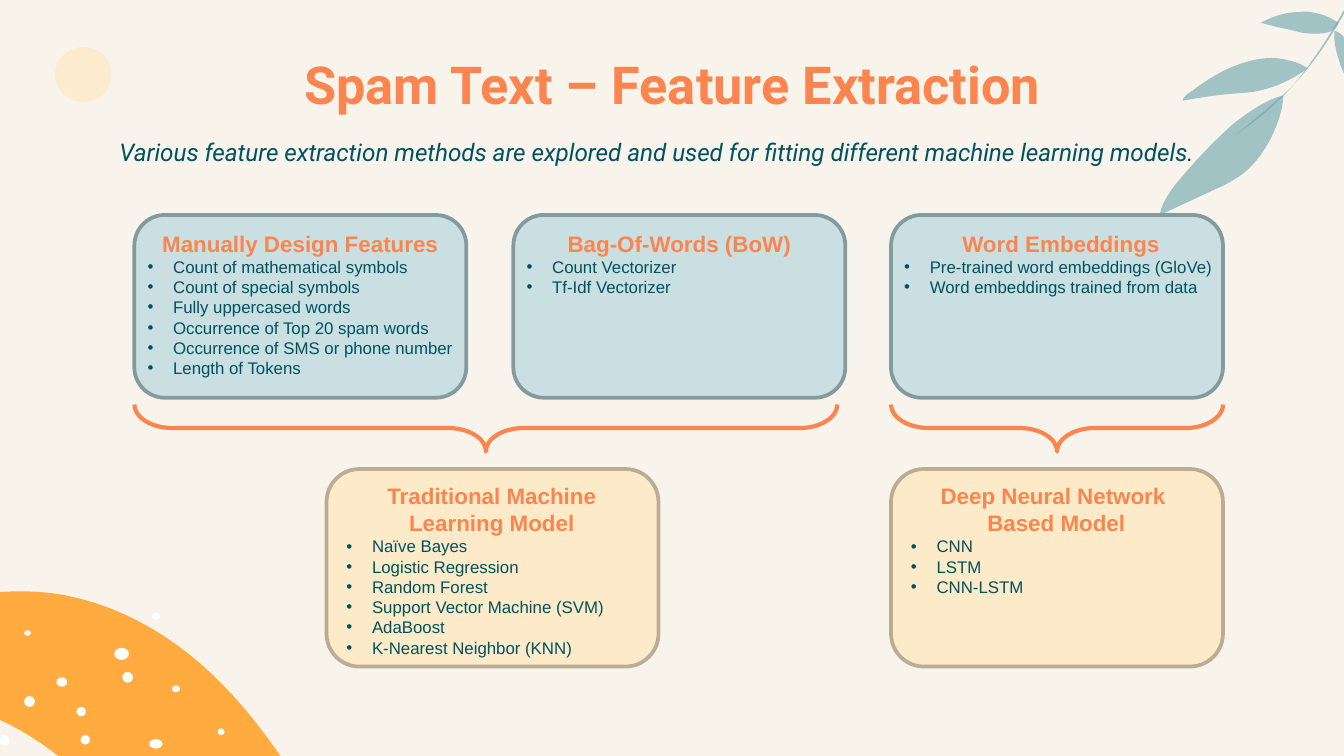
from lxml import etree
from pptx import Presentation
from pptx.dml.color import RGBColor
from pptx.enum.shapes import MSO_SHAPE
from pptx.enum.text import MSO_ANCHOR, MSO_AUTO_SIZE, PP_ALIGN
from pptx.oxml.ns import qn
from pptx.util import Inches, Pt

ORANGE, TEAL, LEAF, CREAM, BLUE = "FC854F", "00525F", "6BA4AA", "FDEAC8", "C9DFE1"
color = RGBColor.from_string


def paint(shape, fill, line=None, width=2, opacity=100):
    shape.shadow.inherit = False
    if fill:
        shape.fill.solid()
        shape.fill.fore_color.rgb = color(fill)
        if opacity < 100:
            node = shape.fill._xPr.find(qn("a:solidFill"))[0]
            etree.SubElement(node, qn("a:alpha"), val=str(opacity * 1000))
    else:
        shape.fill.background()
    if line:
        shape.line.color.rgb = color(line)
        shape.line.width = Pt(width)
    else:
        shape.line.fill.background()


def write(paragraph, text, hex_color, **style):
    run = paragraph.add_run()
    run.text = text
    run.font.color.rgb = color(hex_color)
    for name, value in style.items():
        setattr(run.font, name, value)


presentation = Presentation()
presentation.slide_width, presentation.slide_height = Inches(10), Inches(45 / 8)
slide = presentation.slides.add_slide(presentation.slide_layouts[5])
slide.background.fill.solid()
slide.background.fill.fore_color.rgb = color("F8F4EC")
shapes = slide.shapes

sun = shapes.add_shape(MSO_SHAPE.OVAL, Inches(0.41), Inches(0.35), Inches(0.42), Inches(0.41))
paint(sun, CREAM, opacity=84)

# Each outline is a start point, then line ends (x, y) or cubic curves of six numbers.
stem = [(10.04, 0), (9.92, 0.23, 9.78, 0.44, 9.62, 0.64), (9.49, 0.76, 9.36, 0.87, 9.2, 1),
        (9.36, 0.89, 9.48, 0.79, 9.6, 0.66), (9.78, 0.47, 9.93, 0.24, 10.05, 0.01)]
large_leaf = [(9.55, 0.71), (9.42, 0.74, 9.3, 0.83, 9.19, 0.91), (9.03, 1.05, 8.88, 1.21, 8.74, 1.38),
              (8.69, 1.45, 8.64, 1.52, 8.63, 1.6), (9.06, 1.4),
              (9.11, 1.38, 9.16, 1.35, 9.21, 1.32), (9.4, 1.2, 9.54, 0.91, 9.55, 0.71)]
middle_leaf = [(9.59, 0.45), (9.49, 0.42, 9.38, 0.43, 9.28, 0.46), (9.13, 0.5, 9, 0.58, 8.88, 0.67),
               (8.85, 0.69, 8.81, 0.71, 8.8, 0.75), (8.96, 0.72, 9.11, 0.7, 9.27, 0.69),
               (9.43, 0.68, 9.61, 0.6, 9.73, 0.51), (9.69, 0.48, 9.64, 0.46, 9.59, 0.45)]
edge_leaf = [(9.93, 0.23), (9.92, 0.32, 9.95, 0.41, 9.98, 0.5), (10.01, 0.58, 10.07, 0.66, 10.15, 0.7),
             (10.14, 0.56, 10.09, 0.42, 10.01, 0.3), (10, 0.27, 9.97, 0.24, 9.93, 0.23)]
top_leaf = [(9.8, 0.1), (9.76, 0.09, 9.72, 0.08, 9.67, 0.09), (9.57, 0.09, 9.47, 0.12, 9.38, 0.17),
            (9.46, 0.19), (9.53, 0.21, 9.6, 0.22, 9.67, 0.24), (9.71, 0.25, 9.75, 0.25, 9.79, 0.25),
            (9.84, 0.25, 9.93, 0.25, 9.96, 0.17), (9.91, 0.14, 9.86, 0.11, 9.8, 0.1)]
band = [(-1.68, 4.54), (-1.33, 5.09), (-0.74, 5.08, -0.14, 5.22, 0.32, 5.54),
        (0.77, 5.85, 1.09, 6.34, 1.11, 6.92), (2.98, 6.6), (2.64, 6.5, 2.44, 6.18, 2.26, 5.89),
        (2.03, 5.52, 1.76, 5.15, 1.41, 4.87), (1.06, 4.59, 0.61, 4.39, 0.14, 4.4),
        (-0.09, 4.4, -0.32, 4.45, -0.55, 4.49), (-0.92, 4.55, -1.3, 4.57, -1.68, 4.54)]
outlines = [(leaf, LEAF, 61) for leaf in (stem, large_leaf, middle_leaf, edge_leaf, top_leaf)]
for outline, fill, opacity in outlines + [(band, "FFAB40", 100)]:
    points = [outline[0]]
    for segment in outline[1:]:
        if len(segment) == 2:
            points.append(segment)
            continue
        controls = [points[-1], segment[:2], segment[2:4], segment[4:]]
        for step in range(1, 13):
            t = step / 12
            weights = ((1 - t) ** 3, 3 * t * (1 - t) ** 2, 3 * t * t * (1 - t), t ** 3)
            points.append(tuple(sum(w * c[axis] for w, c in zip(weights, controls)) for axis in (0, 1)))
    vertices = [(Inches(x), Inches(y)) for x, y in points]
    builder = shapes.build_freeform(*vertices[0])
    builder.add_line_segments(vertices[1:], close=True)
    paint(builder.convert_to_shape(), fill, opacity=opacity)

seeds = [(1.62, 5.42, 0.05, 0.05), (0, 5.47, 0.07, 0.08), (0.18, 4.69, 0.05, 0.04),
         (0.85, 4.82, 0.11, 0.09), (1.28, 5.1, 0.06, 0.05), (1.11, 5.5, 0.1, 0.07),
         (0.91, 5, 0.08, 0.08), (0.57, 5.26, 0.07, 0.07), (0.42, 5.04, 0.08, 0.07),
         (0.18, 5.18, 0.08, 0.08), (0.6, 5.47, 0.07, 0.07), (1.13, 4.56, 0.06, 0.05)]
for seed in seeds:
    paint(shapes.add_shape(MSO_SHAPE.OVAL, *map(Inches, seed)), "FFFFFF")

title = shapes.title
title.left, title.top, title.width, title.height = map(Inches, (0.34, 0.29, 9.32, 0.63))
subtitle = shapes.add_textbox(*map(Inches, (0.79, 0.92, 8.42, 0.46)))
for shape in (title, subtitle):
    frame = shape.text_frame
    frame.word_wrap = True
    frame.auto_size = MSO_AUTO_SIZE.NONE
    frame.vertical_anchor = MSO_ANCHOR.TOP
    for side in ("left", "top", "right", "bottom"):
        setattr(frame, f"margin_{side}", Inches(0.1))
title.text_frame.paragraphs[0].alignment = PP_ALIGN.CENTER
write(title.text_frame.paragraphs[0], "Spam Text – Feature Extraction", ORANGE,
      name="Roboto", size=Pt(28), bold=True)
write(subtitle.text_frame.paragraphs[0],
      "Various feature extraction methods are explored and used for fitting different machine learning models.",
      TEAL, name="Roboto", size=Pt(13), italic=True)

feature = dict(top=1.6, height=1.36, fill=BLUE, line="849B9E", inset=0, drop=0.06)
model = dict(top=3.49, height=1.47, fill=CREAM, line="BBAD94", inset=0.05, drop=0.05)
cards = [
    (feature, 1, 2.47, 1.21, ["Manually Design Features"],
     ["Count of mathematical symbols", "Count of special symbols", "Fully uppercased words",
      "Occurrence of Top 20 spam words", "Occurrence of SMS or phone number", "Length of Tokens"]),
    (feature, 3.82, 2.47, 0.61, ["Bag-Of-Words (BoW)"], ["Count Vectorizer", "Tf-Idf Vectorizer"]),
    (feature, 6.63, 2.53, 0.61, ["Word Embeddings"],
     ["Pre-trained word embeddings (GloVe)", "Word embeddings trained from data"]),
    (model, 2.43, 2.36, 1.41, ["Traditional Machine Learning Model"],
     ["Naïve Bayes", "Logistic Regression", "Random Forest", "Support Vector Machine (SVM)",
      "AdaBoost", "K-Nearest Neighbor (KNN)"]),
    (model, 6.63, 2.36, 0.96, ["Deep Neural Network ", "Based Model"], ["CNN", "LSTM", "CNN-LSTM"]),
]
for kind, left, text_width, text_height, headings, items in cards:
    card = shapes.add_shape(MSO_SHAPE.ROUNDED_RECTANGLE, Inches(left), Inches(kind["top"]),
                            Inches(2.47), Inches(kind["height"]))
    paint(card, kind["fill"], kind["line"])
    box = shapes.add_textbox(Inches(left + kind["inset"]), Inches(kind["top"] + kind["drop"]),
                             Inches(text_width), Inches(text_height))
    frame = box.text_frame
    frame.word_wrap = True
    for index, text in enumerate(headings + items):
        paragraph = frame.paragraphs[0] if index == 0 else frame.add_paragraph()
        if index < len(headings):
            paragraph.alignment = PP_ALIGN.CENTER
            write(paragraph, text, ORANGE, name="Arial", size=Pt(12), bold=True)
            continue
        properties = paragraph._p.get_or_add_pPr()
        properties.set("marL", str(Inches(0.19)))
        properties.set("indent", str(-Inches(0.19)))
        bullet_color = etree.SubElement(properties, qn("a:buClr"))
        etree.SubElement(bullet_color, qn("a:srgbClr"), val=TEAL)
        etree.SubElement(properties, qn("a:buFont"), typeface="Arial")
        etree.SubElement(properties, qn("a:buChar"), char="•")
        write(paragraph, text, TEAL, name="Arial", size=Pt(9), bold=False)

for left, top, length in [(3.44, 0.57, 5.23), (7.69, 1.95, 2.47)]:
    brace = shapes.add_shape(MSO_SHAPE.RIGHT_BRACE, Inches(left), Inches(top), Inches(0.35), Inches(length))
    brace.rotation = 90
    brace.adjustments[0] = 0.8
    paint(brace, None, ORANGE, 2.25)

presentation.save("out.pptx")
